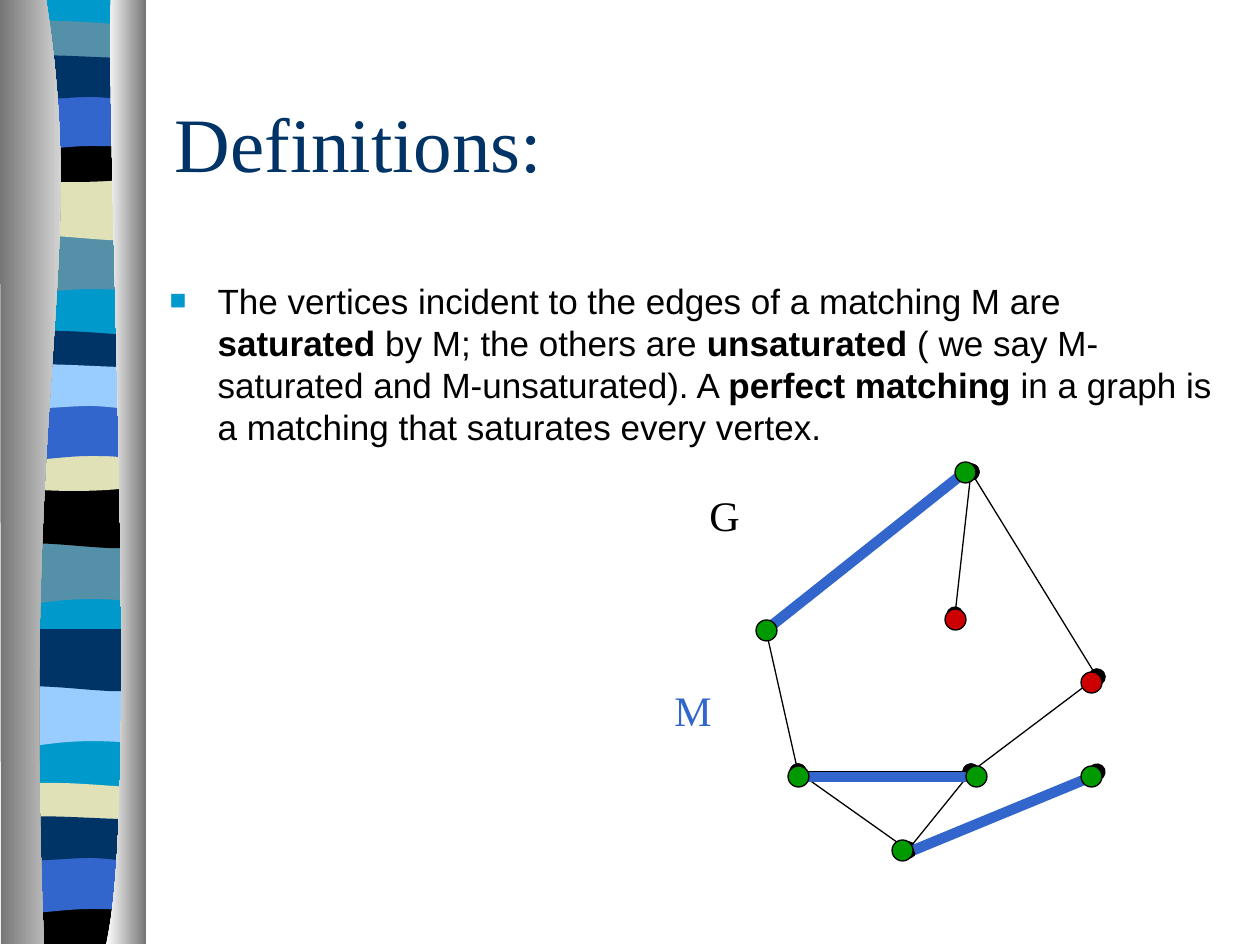
import pptx
import pptx.dml.color
import pptx.enum.shapes
import pptx.enum.text
import pptx.oxml
import pptx.oxml.ns
import pptx.util

PX = 914400 / 126
SIZE = (1260, 945)
COLORS = {
    "cyan": "0099CC", "slate": "5490A8", "sand": "E1E1B7", "black": "000000",
    "blue": "3366CC", "navy": "003366", "sky": "99CCFF", "white": "FFFFFF",
    "steel": "767676", "green": "009900", "red": "CC0000",
}

# Text: body spans are (wording, bold)
TITLE = "Definitions:"
BODY = [
    ("The vertices incident to the edges of a matching M are ", False),
    ("saturated", True),
    (" by M; the others are ", False),
    ("unsaturated", True),
    (" ( we say M-saturated and M-unsaturated). A ", False),
    ("perfect matching", True),
    (" in a graph is a matching that saturates every vertex.", False),
]

# Band outlines: a pair is a corner, a triple of pairs is a Bezier curve
OUTLINES = {
    "dip": [(136, 0), (136, 59), ((42, 49), (23, 69), (0, 59)), (0, 0)],
    "sway": [(136, 0), (136, 59), ((113, 69), (42, 52), (0, 59)), (0, 0)],
    "thin": [(136, 0), (136, 30), ((113, 35), (23, 35), (0, 30)), (0, 0),
             ((8, -6), (29, -5), (52, -5)), ((74, -5), (118, -1), (136, 0))],
    "bowl": [(136, 0), (136, 40), ((113, 48), (23, 48), (0, 40)), (0, 0),
             ((83, 6), (107, 0), (136, 0))],
    "foot": [(136, 0), (136, 47), (0, 47), (0, 0), ((83, 6), (107, 0), (136, 0))],
    "arch": [(136, 0), (136, 59), ((115, 53), (106, 53), (83, 53)),
             ((60, 53), (20, 59), (0, 59)), (0, 0)],
    "flag": [(136, 0), (136, 39), ((127, 45), (106, 39), (83, 39)),
             ((60, 39), (14, 45), (0, 39)), (0, 0),
             ((19, -6), (92, 0), (115, 0)), ((137, 0), (131, 0), (136, 0))],
    "base": [(136, 0), (136, 942), (0, 942), (0, 0)],
}
# Bands from back to front: outline, colour, left, top
BANDS = [
    ("base", "cyan", 7, -1),
    ("dip", "slate", 7, 233), ("sway", "sand", 7, 178), ("thin", "slate", 7, 26),
    ("bowl", "black", 7, 136), ("arch", "blue", 7, 93), ("flag", "navy", 7, 58),
    ("dip", "slate", 6, 543), ("sway", "black", 6, 486), ("thin", "navy", 6, 336),
    ("bowl", "sand", 6, 445), ("arch", "blue", 6, 403), ("flag", "sky", 6, 367),
    ("dip", "sky", 7, 685), ("sway", "navy", 7, 629), ("thin", "sand", 6, 788),
    ("foot", "black", 6, 897), ("arch", "blue", 6, 856), ("flag", "navy", 6, 819),
]
# Silver edges: outline, left colour, right colour
EDGES = [
    ([(46, -1), ((89, 272), (21, 373), (44, 944)), (1, 944), (0, -1)],
     "steel", "white"),
    ([(111, -1), ((106, 158), (140, 814), (106, 944)), (146, 944), (146, 0)],
     "white", "steel"),
]

# Graph
NODES = {
    "west": (766, 630), "top": (971, 472), "east": (1097, 677), "middle": (971, 772),
    "left": (798, 772), "bottom": (908, 850), "far": (1097, 772), "inner": (955, 615),
}
LINKS = [
    ("west", "top"), ("top", "east"), ("east", "middle"), ("middle", "bottom"),
    ("middle", "left"), ("far", "bottom"), ("bottom", "left"), ("left", "west"),
    ("top", "inner"),
]
MATCHING = [
    ((766, 630), (965, 472)), ((914, 850), (1091, 777)), ((808, 777), (976, 777)),
]
# Label boxes: wording, area, colour, wrap
GRAPH_LABEL = ("G", (672, 483, 105, 63), "black", True)
MATCHING_LABEL = ("M", (662, 678, 62, 63), "blue", False)
# Left top corners of the vertices
DOT = 21
DOTS = {
    "green": [(756, 620), (955, 462), (788, 766), (966, 766), (892, 840), (1081, 766)],
    "red": [(945, 609), (1081, 672)],
}


def emu(*lengths):
    return [round(length * PX) for length in lengths]


def rgb(name):
    return pptx.dml.color.RGBColor.from_string(COLORS[name])


def style(font, name, size, color, bold=False):
    font.name, font.size, font.bold = name, pptx.util.Pt(size), bold
    font.color.rgb = rgb(color)


def place(shape, left, top, width, height):
    shape.left, shape.top, shape.width, shape.height = emu(left, top, width, height)


def add_outline(group, outline, left=0, top=0):
    parts = [part if isinstance(part[0], tuple) else (part,) for part in outline]
    points = [emu(x + left, y + top) for part in parts for x, y in part]
    builder = group.shapes.build_freeform(*points[0])
    builder.add_line_segments(points[1:], close=True)
    shape = builder.convert_to_shape()
    shape.shadow.inherit = False
    shape.line.fill.background()

    # Join each run of three points into one curve
    segments = iter(list(shape._element.iter(pptx.oxml.ns.qn("a:lnTo"))))
    for part in parts[1:]:
        steps = [next(segments) for _ in part]
        if len(steps) == 3:
            curve = steps[0].makeelement(pptx.oxml.ns.qn("a:cubicBezTo"), {})
            steps[0].addprevious(curve)
            for step in steps:
                curve.append(step[0])
                step.getparent().remove(step)
    return shape


def add_line(group, start, end, color, width, ovals=False):
    line = group.shapes.add_connector(
        pptx.enum.shapes.MSO_CONNECTOR.STRAIGHT, *emu(*start, *end))
    line.line.color.rgb = rgb(color)
    line.line.width = pptx.util.Pt(width)
    if ovals:
        outline = line.line._get_or_add_ln()
        for tag in ("a:headEnd", "a:tailEnd"):
            mark = pptx.oxml.ns.qn(tag)
            outline.append(outline.makeelement(
                mark, {"type": "oval", "w": "lg", "len": "lg"}))
    properties = line._element.spPr
    properties.append(properties.makeelement(pptx.oxml.ns.qn("a:effectLst"), {}))


def add_label(group, wording, area, color, wrap):
    box = group.shapes.add_textbox(*emu(*area))
    box.text_frame.word_wrap = wrap
    box.text_frame.text = wording
    para = box.text_frame.paragraphs[0]
    para.alignment = pptx.enum.text.PP_ALIGN.CENTER
    style(para.runs[0].font, "Times New Roman", 24, color)


def add_bullet(para):
    properties = para._p.get_or_add_pPr()
    indent = emu(48)[0]
    properties.set("marL", str(indent))
    properties.set("indent", str(-indent))
    space = pptx.oxml.ns.nsdecls("a")
    for xml in (
        f'<a:buClr {space}><a:srgbClr val="{COLORS["cyan"]}"/></a:buClr>',
        f'<a:buSzPct {space} val="80000"/>',
        f'<a:buFont {space} typeface="Arial"/>',
        f'<a:buChar {space} char="■"/>',
    ):
        properties.append(pptx.oxml.parse_xml(xml))


def move_to_master(group, master):
    for item in group._element.iter(pptx.oxml.ns.qn("p:cNvPr")):
        item.set("id", str(int(item.get("id")) + 100))
    master.shapes._spTree.insert(2, group._element)


def main():
    deck = pptx.Presentation()
    deck.slide_width, deck.slide_height = emu(*SIZE)
    page = deck.slides.add_slide(deck.slide_layouts[1])

    # Ribbon of bands between two silver edges, kept on the master
    ribbon = page.shapes.add_group_shape()
    for name, color, left, top in BANDS:
        band = add_outline(ribbon, OUTLINES[name], left, top)
        band.fill.solid()
        band.fill.fore_color.rgb = rgb(color)
    for outline, *colors in EDGES:
        edge = add_outline(ribbon, outline)
        edge.fill.gradient()
        edge.fill.gradient_angle = 0
        for stop, color in zip(edge.fill.gradient_stops, colors):
            stop.color.rgb = rgb(color)
    move_to_master(ribbon, deck.slide_master)

    # Title and body
    title, body = page.placeholders
    place(title, 162, 63, 1071, 158)
    title.text_frame.text = TITLE
    title.text_frame.vertical_anchor = pptx.enum.text.MSO_ANCHOR.MIDDLE
    para = title.text_frame.paragraphs[0]
    para.alignment = pptx.enum.text.PP_ALIGN.LEFT
    style(para.runs[0].font, "Times New Roman", 44, "navy")

    place(body, 157, 273, 1075, 231)
    body.text_frame.auto_size = pptx.enum.text.MSO_AUTO_SIZE.NONE
    para = body.text_frame.paragraphs[0]
    para.line_spacing = pptx.util.Pt(24)
    para.space_before = pptx.util.Pt(0)
    add_bullet(para)
    for wording, bold in BODY:
        span = para.add_run()
        span.text = wording
        style(span.font, "Arial", 20, "black", bold)

    # Graph edges, then the matching over them
    graph = page.shapes.add_group_shape()
    for start, end in LINKS:
        add_line(graph, NODES[start], NODES[end], "black", 0.75, ovals=True)
    add_label(graph, *GRAPH_LABEL)
    matching = page.shapes.add_group_shape()
    for start, end in MATCHING:
        add_line(matching, start, end, "blue", 6)
    add_label(matching, *MATCHING_LABEL)

    # Saturated and unsaturated vertices
    for color, corners in DOTS.items():
        for corner in corners:
            dot = page.shapes.add_shape(
                pptx.enum.shapes.MSO_SHAPE.OVAL, *emu(*corner, DOT, DOT))
            dot.shadow.inherit = False
            dot.fill.solid()
            dot.fill.fore_color.rgb = rgb(color)
            dot.line.color.rgb = rgb("black")
            dot.line.width = pptx.util.Pt(0.75)

    deck.save("out.pptx")


if __name__ == "__main__":
    main()
